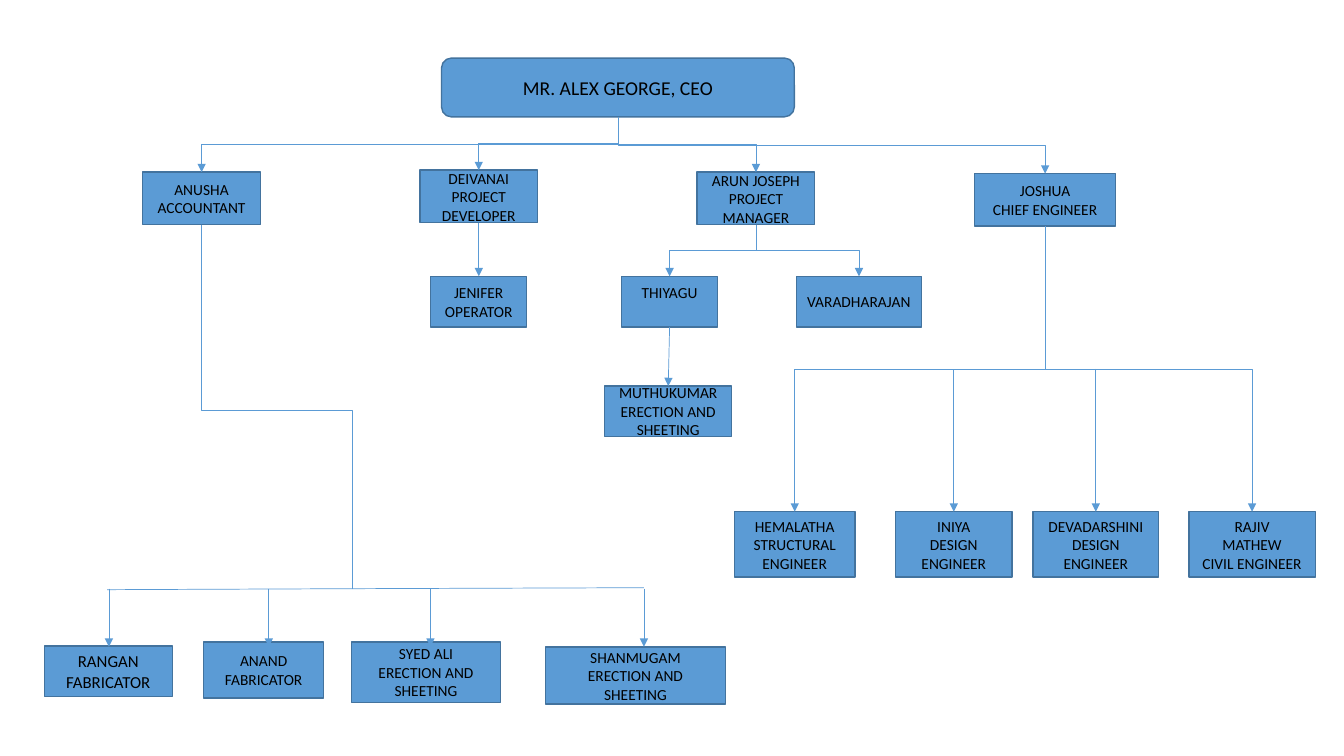
from lxml import etree
from pptx import Presentation
from pptx.dml.color import RGBColor
from pptx.enum.shapes import MSO_CONNECTOR, MSO_SHAPE
from pptx.enum.text import MSO_ANCHOR, PP_ALIGN
from pptx.oxml.ns import qn
from pptx.util import Pt

RECT, ROUNDED = MSO_SHAPE.RECTANGLE, MSO_SHAPE.ROUNDED_RECTANGLE
STRAIGHT, ELBOW = MSO_CONNECTOR.STRAIGHT, MSO_CONNECTOR.ELBOW
MIDDLE, CENTER = MSO_ANCHOR.MIDDLE, PP_ALIGN.CENTER

COLORS = {"box": "5B9BD5", "border": "43739E", "link": "5B9BD5", "text": "000000"}
FONT = "Calibri"
BLANK_LAYOUT = 6

# key: (left, top, width, height, lines of text)
STAFF = {
    "ceo": (315.4, 41.5, 252, 42, ["MR. ALEX GEORGE, CEO"]),
    "anusha": (102, 123, 84, 37.5, ["ANUSHA ACCOUNTANT"]),
    "deivanai": (300, 121.5, 84, 37.5, ["DEIVANAI", "PROJECT DEVELOPER"]),
    "arun": (498, 123, 84, 37.5, ["ARUN JOSEPH", "PROJECT MANAGER"]),
    "joshua": (696, 124, 101, 37.5, ["JOSHUA", "CHIEF ENGINEER"]),
    "hemalatha": (524.7, 365.5, 86, 46.8, ["HEMALATHA", "STRUCTURAL ENGINEER"]),
    "iniya": (639.8, 365.5, 83, 46.8, ["INIYA", "DESIGN ENGINEER"]),
    "devadarshini": (738, 365.5, 89.5, 46.8, ["DEVADARSHINI", "DESIGN ENGINEER"]),
    "rajiv": (849.2, 365.5, 90.3, 46.8, ["RAJIV", "MATHEW", "CIVIL ENGINEER"]),
    "jenifer": (307.7, 197.4, 68.6, 36.2, ["JENIFER", "OPERATOR"]),
    "thiyagu": (444, 197.4, 68.6, 36.2, ["THIYAGU"]),
    "varadharajan": (568.8, 197.4, 89.5, 36.2, ["VARADHARAJAN"]),
    "muthukumar": (432, 275.8, 90.7, 36, ["MUTHUKUMAR", "ERECTION AND SHEETING"]),
    "rangan": (31.7, 461.5, 91.4, 36, ["RANGAN", "FABRICATOR"]),
    "anand": (145.5, 458.6, 85.7, 40, ["ANAND", "FABRICATOR"]),
    "syed": (251, 458.6, 106.6, 43.2, ["SYED ALI", "ERECTION AND SHEETING"]),
    "shanmugam": (389.5, 462.2, 128.9, 40.6, ["SHANMUGAM", "ERECTION AND SHEETING"]),
}
FONT_SIZES = {"ceo": 14, "rangan": 12}
DEFAULT_SIZE = 11
BOTTOM_INSETS = {"thiyagu": 17}

REPORTS = {
    "ceo": ["anusha", "deivanai", "arun", "joshua"],
    "deivanai": ["jenifer"],
    "arun": ["thiyagu", "varadharajan"],
    "thiyagu": ["muthukumar"],
    "joshua": ["rajiv", "iniya", "hemalatha"],
}
# The accountant's line ends on a shared rail with an arrow down to each worker.
RAIL = {"left": (76.5, 421.2), "hub": (251.5, 420.5), "right": (460, 419.8)}
RAIL_DROPS = [77.8, 192, 307.5, 460]
RAIL_DROP_END = 462
ACCOUNTANT_BEND = 0.509


def color(name):
    return RGBColor.from_string(COLORS[name])


def bottom(key):
    left, top, width, height, _ = STAFF[key]
    return left + width / 2, top + height


def top_center(key):
    left, top, width, _, _ = STAFF[key]
    return left + width / 2, top


def add_box(slide, key):
    left, top, width, height, lines = STAFF[key]
    kind = ROUNDED if key == "ceo" else RECT
    s = slide.shapes.add_shape(kind, Pt(left), Pt(top), Pt(width), Pt(height))
    s.shadow.inherit = False
    s.fill.solid()
    s.fill.fore_color.rgb = color("box")
    s.line.color.rgb = color("border")
    s.line.width = Pt(1)
    tf = s.text_frame
    tf.word_wrap = True
    tf.vertical_anchor = MIDDLE
    if key in BOTTOM_INSETS:
        tf.margin_bottom = Pt(BOTTOM_INSETS[key])
    font = {"name": FONT, "size": Pt(FONT_SIZES.get(key, DEFAULT_SIZE))}
    for i, line in enumerate(lines):
        p = tf.add_paragraph() if i else tf.paragraphs[0]
        p.alignment = CENTER
        r = p.add_run()
        r.text = line
        for name, value in font.items():
            setattr(r.font, name, value)
        r.font.color.rgb = color("text")


def add_link(slide, start, end, kind=STRAIGHT, arrow=True):
    points = [Pt(v) for v in (*start, *end)]
    c = slide.shapes.add_connector(kind, *points)
    c.line.color.rgb = color("link")
    c.line.width = Pt(0.5)
    if arrow:
        etree.SubElement(c.line._get_or_add_ln(), qn("a:tailEnd"), type="triangle")
    etree.SubElement(c._element.spPr, qn("a:effectLst"))
    return c


def add_elbow(slide, start, end, arrow=True, bend=0.5):
    """Link that leaves downwards: a sideways elbow turned by a quarter."""
    (x1, y1), (x2, y2) = start, end
    cx, cy = (x1 + x2) / 2, (y1 + y2) / 2
    half_w, half_h = (y2 - y1) / 2, abs(x2 - x1) / 2
    side, degrees = (-1, 270) if x2 > x1 else (1, 90)
    c = add_link(slide, (cx - side * half_w, cy - half_h),
                 (cx + side * half_w, cy + half_h), ELBOW, arrow)
    c._element.spPr.find(qn("a:xfrm")).set("rot", str(degrees * 60000))
    if bend != 0.5:
        guides = c._element.spPr.find(qn("a:prstGeom")).find(qn("a:avLst"))
        etree.SubElement(guides, qn("a:gd"), name="adj1",
                         fmla=f"val {round(bend * 100000)}")


def add_reports(slide):
    for boss, people in REPORTS.items():
        for person in people:
            start, end = bottom(boss), top_center(person)
            if abs(start[0] - end[0]) < 2:
                add_link(slide, start, end)
            else:
                add_elbow(slide, start, end)
    x, y = top_center("devadarshini")
    rail_y = (bottom("joshua")[1] + y) / 2
    add_link(slide, (x, rail_y), (x, y))


def add_workers_rail(slide):
    hub = RAIL["hub"]
    add_elbow(slide, bottom("anusha"), hub, arrow=False, bend=ACCOUNTANT_BEND)
    for side in ("left", "right"):
        add_link(slide, hub, RAIL[side], arrow=False)
    for x in RAIL_DROPS:
        add_link(slide, (x, hub[1]), (x, RAIL_DROP_END))


def main():
    prs = Presentation()
    prs.slide_width, prs.slide_height = Pt(960), Pt(540)
    slide = prs.slides.add_slide(prs.slide_layouts[BLANK_LAYOUT])
    for key in STAFF:
        add_box(slide, key)
    add_reports(slide)
    add_workers_rail(slide)
    prs.save("out.pptx")


if __name__ == "__main__":
    main()
